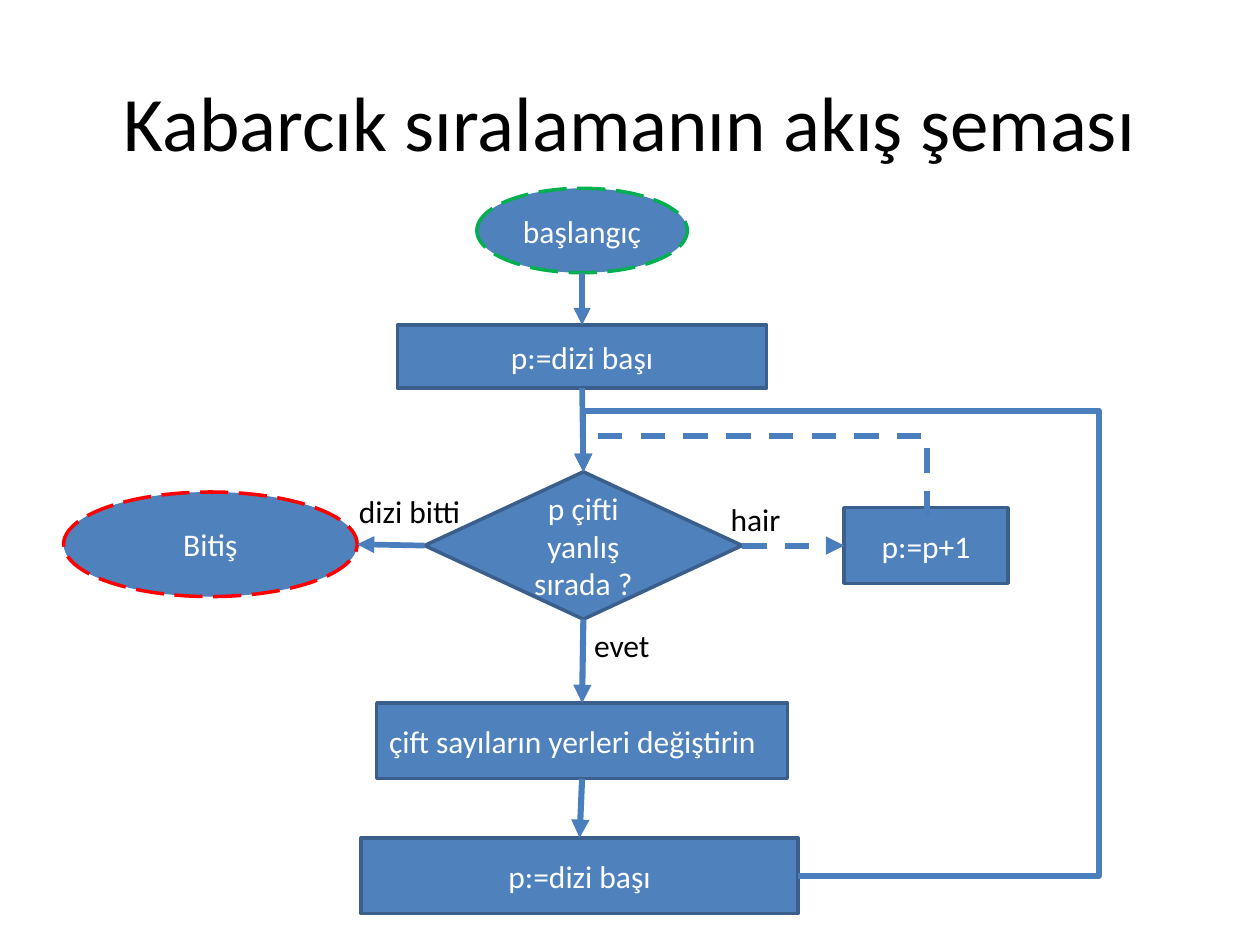
import pptx
import pptx.util
from pptx.dml.color import RGBColor
from pptx.enum.dml import MSO_LINE
from pptx.enum.shapes import MSO_CONNECTOR, MSO_SHAPE
from pptx.enum.text import MSO_ANCHOR, MSO_AUTO_SIZE, PP_ALIGN
from pptx.oxml.ns import qn
from lxml import etree

BLUE = RGBColor(0x4F, 0x81, 0xBD)
EDGE = RGBColor(0x3A, 0x5F, 0x8C)
ARROW = RGBColor(0x4B, 0x7E, 0xBC)
GREEN = RGBColor(0x00, 0xB0, 0x50)
RED = RGBColor(0xFF, 0x00, 0x00)
BLACK = RGBColor(0x00, 0x00, 0x00)
WHITE = RGBColor(0xFF, 0xFF, 0xFF)

COLS, ROWS = 100, 75
CELL = pptx.util.Inches(10) // COLS


def cells(*counts):
    """Turn counts of grid cells into lengths."""
    return [round(n * CELL) for n in counts]


def write(shape, text, size=18, color=BLACK, align=PP_ALIGN.CENTER,
          anchor=MSO_ANCHOR.MIDDLE, wrap=True):
    frame = shape.text_frame
    frame.word_wrap = wrap
    frame.vertical_anchor = anchor
    para = frame.paragraphs[0]
    para.alignment = align
    run = para.add_run()
    run.text = text
    run.font.name = "Calibri"
    run.font.size = pptx.util.Pt(size)
    run.font.color.rgb = color


def node(slide, box, kind, text, mid, size, edge=EDGE, dash=None,
         align=PP_ALIGN.CENTER):
    """Draw a step around its middle; return its four side points."""
    x, y = box[0] + mid[0], box[1] + mid[1]
    w, h = size
    shape = slide.shapes.add_shape(kind, *cells(x - w / 2, y - h / 2, w, h))
    shape.shadow.inherit = False
    shape.fill.solid()
    shape.fill.fore_color.rgb = BLUE
    shape.line.color.rgb = edge
    shape.line.width = pptx.util.Pt(2)
    shape.line.dash_style = dash
    write(shape, text, color=WHITE, align=align)
    return {"top": (x, y - h / 2), "low": (x, y + h / 2),
            "left": (x - w / 2, y), "right": (x + w / 2, y)}


def arrow(slide, start, end, width=3.5, dash=None, bend=None):
    """Join two points; bend is the far column and the row of the way back."""
    kind = MSO_CONNECTOR.ELBOW if bend else MSO_CONNECTOR.STRAIGHT
    link = slide.shapes.add_connector(kind, *cells(*start, *end))
    link.line.color.rgb = ARROW
    link.line.width = pptx.util.Pt(width)
    link.line.dash_style = dash
    props = link._element.spPr
    etree.SubElement(link.line._get_or_add_ln(), qn("a:tailEnd"),
                     type="triangle")
    etree.SubElement(props, qn("a:effectLst"))
    if bend:
        geom = props.find(qn("a:prstGeom"))
        geom.set("prst", "bentConnector4")
        guides = geom.find(qn("a:avLst"))
        for i, (turn, a, b) in enumerate(zip(bend, start, end), 1):
            share = round((turn - a) / (b - a) * 100000)
            etree.SubElement(guides, qn("a:gd"), name=f"adj{i}",
                             fmla=f"val {share}")


def label(slide, box, text, place, width, align=PP_ALIGN.LEFT, wrap=False):
    x, y = place
    note = slide.shapes.add_textbox(
        *cells(box[0] + x, box[1] + y, width, 4))
    write(note, text, align=align, anchor=MSO_ANCHOR.TOP, wrap=wrap)
    note.text_frame.auto_size = MSO_AUTO_SIZE.SHAPE_TO_FIT_TEXT


def title(slide, box):
    head = slide.shapes.add_textbox(*cells(*box))
    write(head, "Kabarcık sıralamanın akış şeması", size=44)


def flow(slide, box):
    left, top = box[:2]
    step, oval = MSO_SHAPE.FLOWCHART_PROCESS, MSO_SHAPE.FLOWCHART_CONNECTOR
    long = MSO_LINE.LONG_DASH

    # Steps
    init = node(slide, box, step, "p:=dizi başı", (41.2, 13.3), (29.3, 5))
    test = node(slide, box, MSO_SHAPE.FLOWCHART_DECISION,
                "p çifti yanlış sırada ?", (41.3, 28.3), (25.2, 11.7))
    begin = node(slide, box, oval, "başlangıç", (41.2, 3.3), (16.7, 6.7),
                 edge=GREEN, dash=long)
    done = node(slide, box, oval, "Bitiş", (11.7, 28.2), (23.3, 8.3),
                edge=RED, dash=long)
    swap = node(slide, box, step, "çift sayıların yerleri değiştirin",
                (41.2, 43.8), (32.6, 6), align=PP_ALIGN.LEFT)
    move = node(slide, box, step, "p:=p+1", (68.5, 28.3), (13, 6))
    reset = node(slide, box, step, "p:=dizi başı", (41, 54.5), (34.7, 6))

    # Straight arrows
    arrow(slide, begin["low"], init["top"], width=3.25)
    arrow(slide, init["low"], test["top"], width=3.25)
    arrow(slide, test["left"], done["right"], width=3.25)
    arrow(slide, test["right"], move["left"], dash=MSO_LINE.DASH)
    arrow(slide, test["low"], swap["top"])
    arrow(slide, swap["low"], reset["top"])

    # Loops back to the test
    x, y = move["top"]
    arrow(slide, (x, y + 0.5), test["top"], dash=MSO_LINE.DASH,
          bend=(x + 0.1, top + 19.6))
    arrow(slide, reset["right"], test["top"], bend=(left + 82.2, top + 17.6))

    # Answers
    label(slide, box, "dizi bitti", (22.5, 23.6), 10.8, wrap=True)
    label(slide, box, "hair", (52, 24.2), 6)
    label(slide, box, "evet", (41.1, 34.2), 6.5, align=PP_ALIGN.CENTER)


def main():
    deck = pptx.Presentation()
    deck.slide_width, deck.slide_height = cells(COLS, ROWS)
    slide = deck.slides.add_slide(deck.slide_layouts[6])
    title(slide, (5, 3.3, 90, 12.5))
    flow(slide, (5, 15, 90, 57.5))
    deck.save("out.pptx")


if __name__ == "__main__":
    main()
